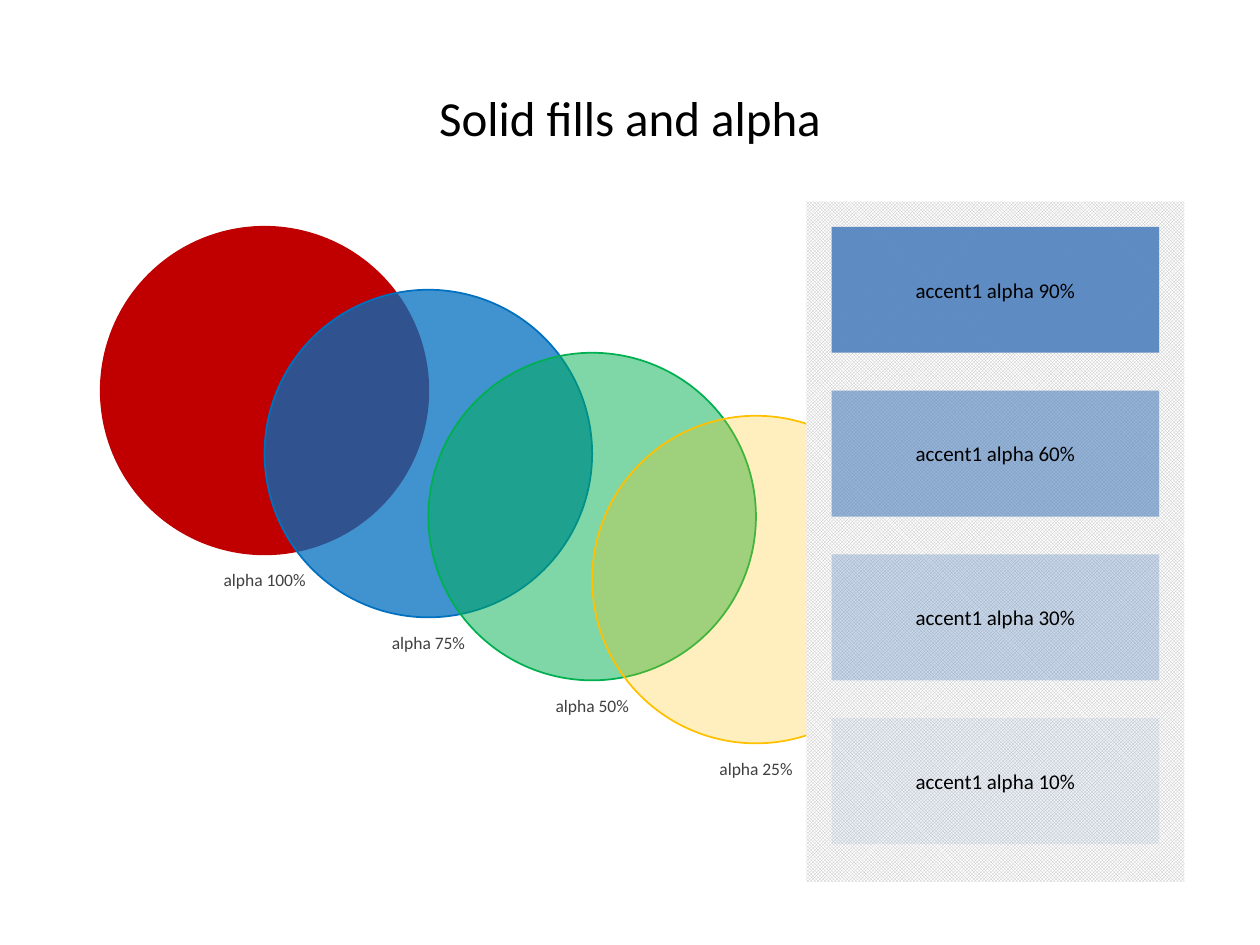
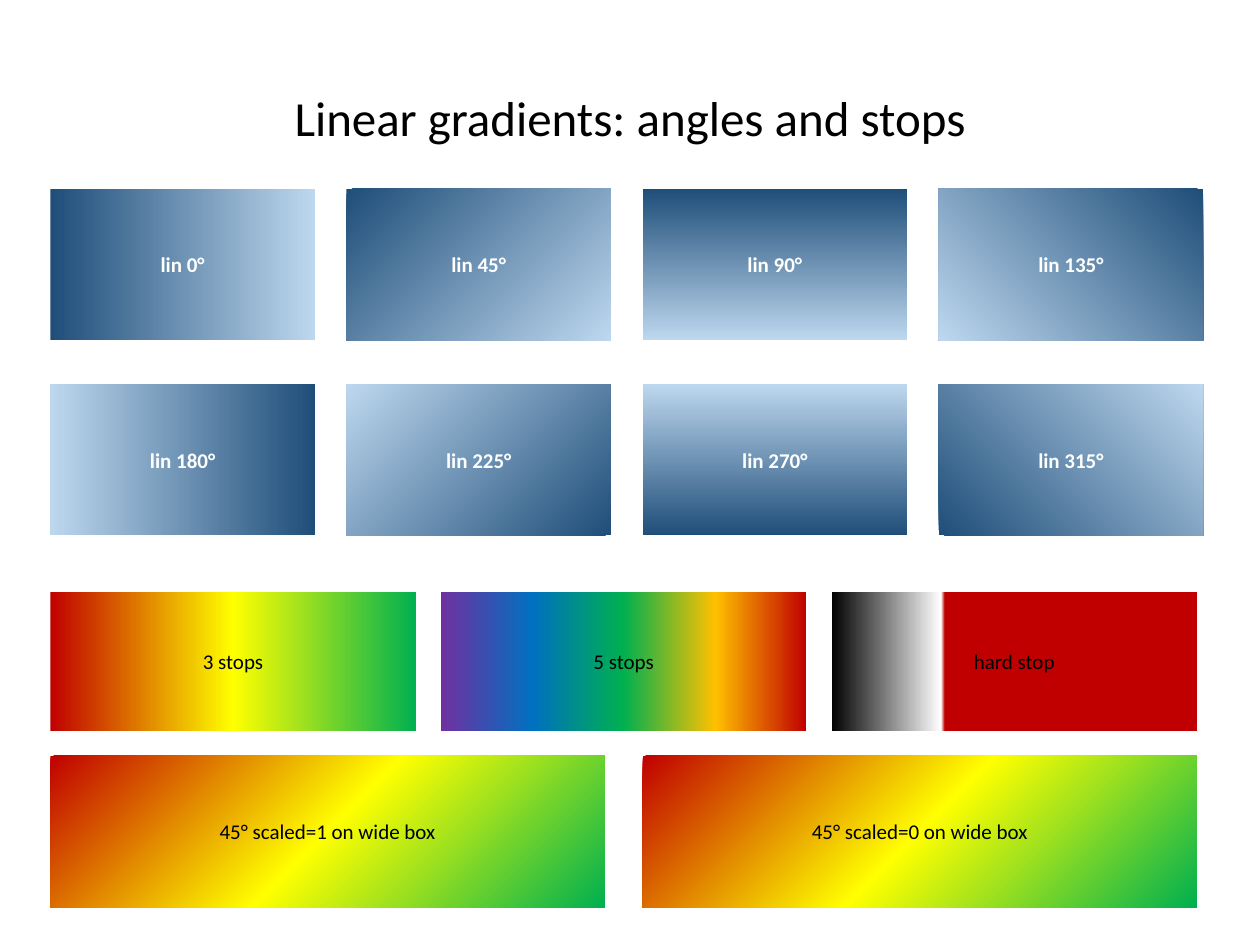
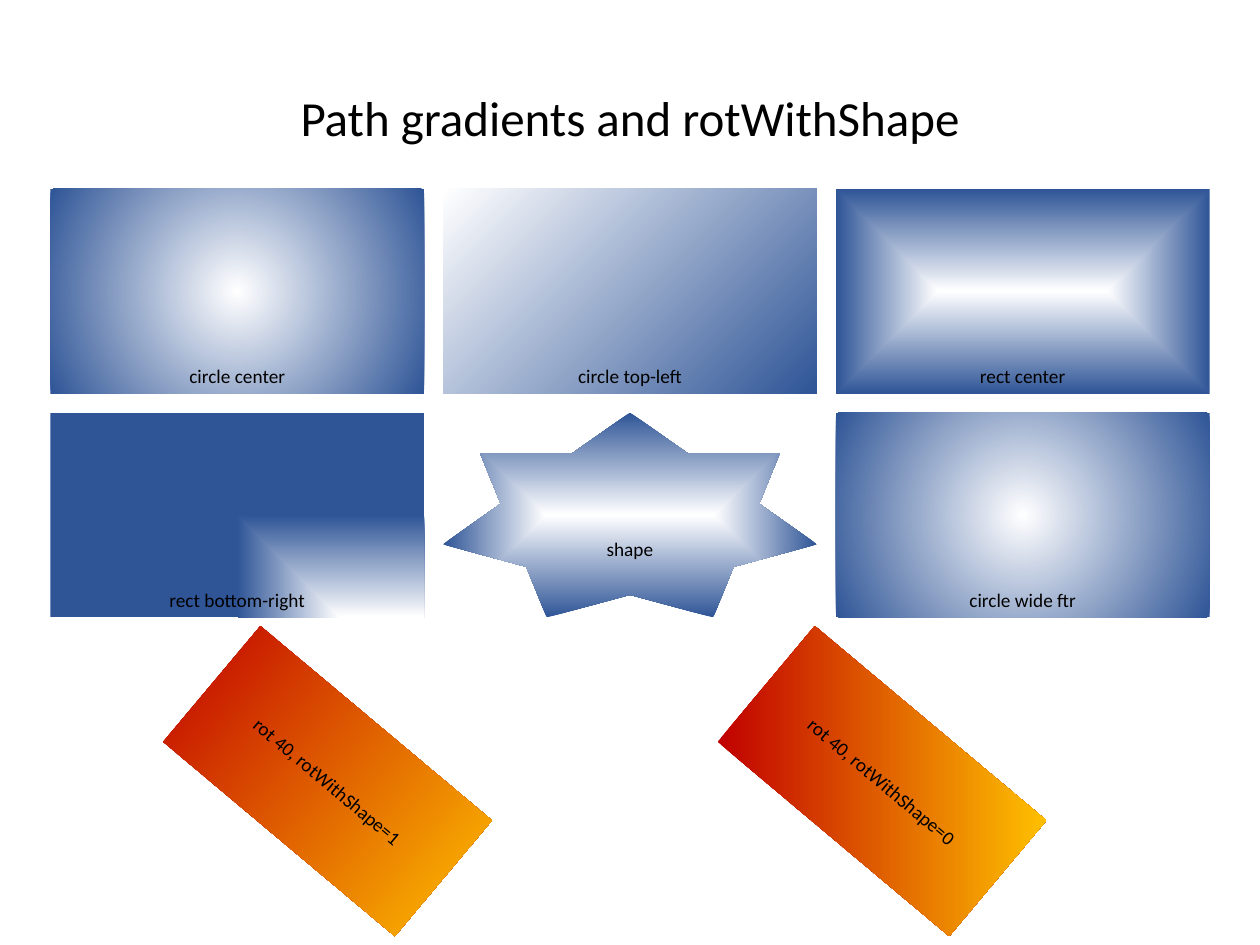
from dataclasses import dataclass
from typing import NamedTuple, Optional

from lxml import etree
from pptx import Presentation
from pptx.dml.color import RGBColor
from pptx.enum import dml, shapes, text
from pptx.oxml.ns import qn
from pptx.util import Pt


# Shared look
@dataclass(frozen=True)
class Theme:
    font: str = "Calibri"
    black: str = "000000"
    white: str = "FFFFFF"
    grey: str = "404040"
    check: str = "BFBFBF"
    accent: str = "4F81BD"
    red: str = "C00000"
    yellow: str = "FFFF00"
    gold: str = "FFC000"
    green: str = "00B050"
    blue: str = "0070C0"
    purple: str = "7030A0"
    navy: str = "1F4E79"
    pale: str = "BDD7EE"
    royal: str = "2F5597"
    title_size: float = 28
    box_size: float = 12
    small_size: float = 11
    caption_size: float = 10


THEME = Theme()
MARGIN = 28.8
CENTER = (50, 50, 50, 50)
BOTTOM_RIGHT = (100, 100, 0, 0)
RECTANGLE = shapes.MSO_SHAPE.RECTANGLE


class Box(NamedTuple):
    left: float
    top: float
    width: float
    height: float

    def lengths(self) -> list:
        return [Pt(value) for value in self]

    def moved(self, right: float = 0, down: float = 0) -> "Box":
        return self._replace(left=self.left + right, top=self.top + down)


@dataclass(frozen=True)
class Gradient:
    stops: tuple  # (percent, colour) pairs
    angle: int = 0
    scaled: bool = False
    rotates: bool = True
    shade: Optional[str] = None  # "circle" or "rect"; None is linear
    focus: tuple = CENTER


@dataclass(frozen=True)
class Label:
    words: str
    size: float = THEME.box_size
    color: str = THEME.black
    bold: bool = False
    anchor: text.MSO_ANCHOR = text.MSO_ANCHOR.MIDDLE


def spread(*colors: str) -> tuple:
    """Space the colours evenly from 0 to 100 percent."""
    return tuple((100 * i / (len(colors) - 1), color) for i, color in enumerate(colors))


TRAFFIC = spread(THEME.red, THEME.yellow, THEME.green)
GLOW = spread(THEME.white, THEME.royal)


# Drawing functions
def write(frame, label: Label) -> None:
    frame.word_wrap = True
    frame.vertical_anchor = label.anchor
    paragraph = frame.paragraphs[0]
    paragraph.text = label.words
    paragraph.alignment = text.PP_ALIGN.CENTER
    font = paragraph.font
    font.name, font.size, font.bold = THEME.font, Pt(label.size), label.bold
    font.color.rgb = RGBColor.from_string(label.color)


def add_titled_slide(presentation, title: str):
    slide = presentation.slides.add_slide(presentation.slide_layouts[5])
    placeholder = slide.shapes.title
    placeholder.left, placeholder.top, placeholder.width, placeholder.height = Box(
        36, 21.6, 648, 90).lengths()
    write(placeholder.text_frame, Label(title, THEME.title_size))
    return slide


def add_plain_shape(slide, box: Box, label: Optional[Label] = None, kind=RECTANGLE):
    shape = slide.shapes.add_shape(kind, *box.lengths())
    shape.shadow.inherit = False
    shape.line.fill.background()
    if label:
        write(shape.text_frame, label)
    return shape


def fill_solid(shape, color: str, alpha: int = 100) -> None:
    shape.fill.solid()
    shape.fill.fore_color.rgb = RGBColor.from_string(color)
    if alpha < 100:
        rgb = shape._element.spPr.find(qn("a:solidFill")).find(qn("a:srgbClr"))
        etree.SubElement(rgb, qn("a:alpha"), val=str(alpha * 1000))


def fill_gradient(shape, gradient: Gradient) -> None:
    shape.fill.gradient()
    element = shape._element.spPr.find(qn("a:gradFill"))
    element.clear()
    element.set("rotWithShape", str(int(gradient.rotates)))
    stops = etree.SubElement(element, qn("a:gsLst"))
    for percent, color in gradient.stops:
        stop = etree.SubElement(stops, qn("a:gs"), pos=str(int(percent * 1000)))
        etree.SubElement(stop, qn("a:srgbClr"), val=color)
    if gradient.shade:
        shade = etree.SubElement(element, qn("a:path"))
        shade.set("path", gradient.shade)
        focus = etree.SubElement(shade, qn("a:fillToRect"))
        for side, percent in zip("ltrb", gradient.focus):
            focus.set(side, str(percent * 1000))
    else:
        etree.SubElement(element, qn("a:lin"), ang=str(gradient.angle * 60000),
                         scaled=str(int(gradient.scaled)))


def add_gradient_shape(slide, box: Box, label: Label, gradient: Gradient, kind=RECTANGLE):
    shape = add_plain_shape(slide, box, label, kind)
    fill_gradient(shape, gradient)
    return shape


def add_caption(slide, box: Box, words: str) -> None:
    frame = slide.shapes.add_textbox(*box.lengths()).text_frame
    frame.margin_left = frame.margin_right = Pt(1.44)
    frame.margin_top = frame.margin_bottom = Pt(1.44)
    write(frame, Label(words, THEME.caption_size, THEME.grey, anchor=text.MSO_ANCHOR.TOP))


# Slides
def build_solid_fills(presentation) -> None:
    slide = add_titled_slide(presentation, "Solid fills and alpha")

    # Overlapping circles with captions
    first_circle = Box(57.6, 129.6, 187.2, 187.2)
    circles = [(THEME.red, 100), (THEME.blue, 75), (THEME.green, 50), (THEME.gold, 25)]
    for i, (color, alpha) in enumerate(circles):
        box = first_circle.moved(93.6 * i, 36 * i)
        circle = add_plain_shape(slide, box, kind=shapes.MSO_SHAPE.OVAL)
        fill_solid(circle, color, alpha)
        circle.line.color.rgb = RGBColor.from_string(color)
        circle.line.width = Pt(1)
        add_caption(slide, box.moved(down=194.4)._replace(height=21.6), f"alpha {alpha}%")

    # Checked panel behind the translucent boxes
    panel = add_plain_shape(slide, Box(460.8, 115.2, 216, 388.8))
    panel.fill.patterned()
    panel.fill.pattern = dml.MSO_PATTERN.SMALL_CHECKER_BOARD
    panel.fill.fore_color.rgb = RGBColor.from_string(THEME.check)
    panel.fill.back_color.rgb = RGBColor.from_string(THEME.white)
    first_box = Box(475.2, 129.6, 187.2, 72)
    for i, alpha in enumerate((90, 60, 30, 10)):
        shape = add_plain_shape(slide, first_box.moved(down=93.6 * i),
                                Label(f"accent1 alpha {alpha}%"))
        fill_solid(shape, THEME.accent, alpha)


def build_linear_gradients(presentation) -> None:
    slide = add_titled_slide(presentation, "Linear gradients: angles and stops")

    # Eight angles in two rows
    first_angle = Box(MARGIN, 108, 151.2, 86.4)
    for i in range(8):
        row, column = divmod(i, 4)
        add_gradient_shape(slide, first_angle.moved(169.2 * column, 111.6 * row),
                           Label(f"lin {45 * i}°", color=THEME.white, bold=True),
                           Gradient(spread(THEME.navy, THEME.pale), 45 * i))

    # Stop lists
    rainbow = spread(THEME.purple, THEME.blue, THEME.green, THEME.gold, THEME.red)
    hard = ((0, THEME.black), (30, THEME.white), (31, THEME.red), (100, THEME.red))
    stop_lists = [("3 stops", TRAFFIC), ("5 stops", rainbow), ("hard stop", hard)]
    first_list = Box(MARGIN, 338.4, 208.8, 79.2)
    for i, (words, stops) in enumerate(stop_lists):
        add_gradient_shape(slide, first_list.moved(223.2 * i), Label(words), Gradient(stops))

    # Scaled and unscaled angle
    first_wide = Box(MARGIN, 432, 316.8, 86.4)
    for i, scaled in enumerate((True, False)):
        add_gradient_shape(slide, first_wide.moved(338.4 * i),
                           Label(f"45° scaled={int(scaled)} on wide box"),
                           Gradient(TRAFFIC, 45, scaled))


def build_path_gradients(presentation) -> None:
    slide = add_titled_slide(presentation, "Path gradients and rotWithShape")

    # Grid of path gradients
    circle = Gradient(GLOW, shade="circle")
    rect = Gradient(GLOW, shade="rect")
    cells = [
        ("circle center", circle, RECTANGLE),
        ("circle top-left", Gradient(spread(THEME.royal, THEME.white), 225), RECTANGLE),
        ("rect center", rect, RECTANGLE),
        ("rect bottom-right", Gradient(GLOW, shade="rect", focus=BOTTOM_RIGHT), RECTANGLE),
        ("shape", rect, shapes.MSO_SHAPE.STAR_7_POINT),
        ("circle wide ftr", circle, RECTANGLE),
    ]
    first_cell = Box(MARGIN, 108, 213.6, 117)
    gap = 10.8
    for i, (words, gradient, kind) in enumerate(cells):
        row, column = divmod(i, 3)
        box = first_cell.moved((first_cell.width + gap) * column,
                               (first_cell.height + gap) * row)
        label = Label(words, THEME.small_size, anchor=text.MSO_ANCHOR.BOTTOM)
        add_gradient_shape(slide, box, label, gradient, kind)

    # Rotated boxes
    first_rotated = Box(100.8, 403.2, 172.8, 86.4)
    for i, rotates in enumerate((True, False)):
        shape = add_gradient_shape(
            slide, first_rotated.moved(316.8 * i),
            Label(f"rot 40, rotWithShape={int(rotates)}", THEME.small_size),
            Gradient(spread(THEME.red, THEME.gold), rotates=rotates))
        shape.rotation = 40


def main() -> None:
    presentation = Presentation()
    presentation.slide_width, presentation.slide_height = Pt(720), Pt(540)
    build_solid_fills(presentation)
    build_linear_gradients(presentation)
    build_path_gradients(presentation)
    presentation.save("out.pptx")


if __name__ == "__main__":
    main()
